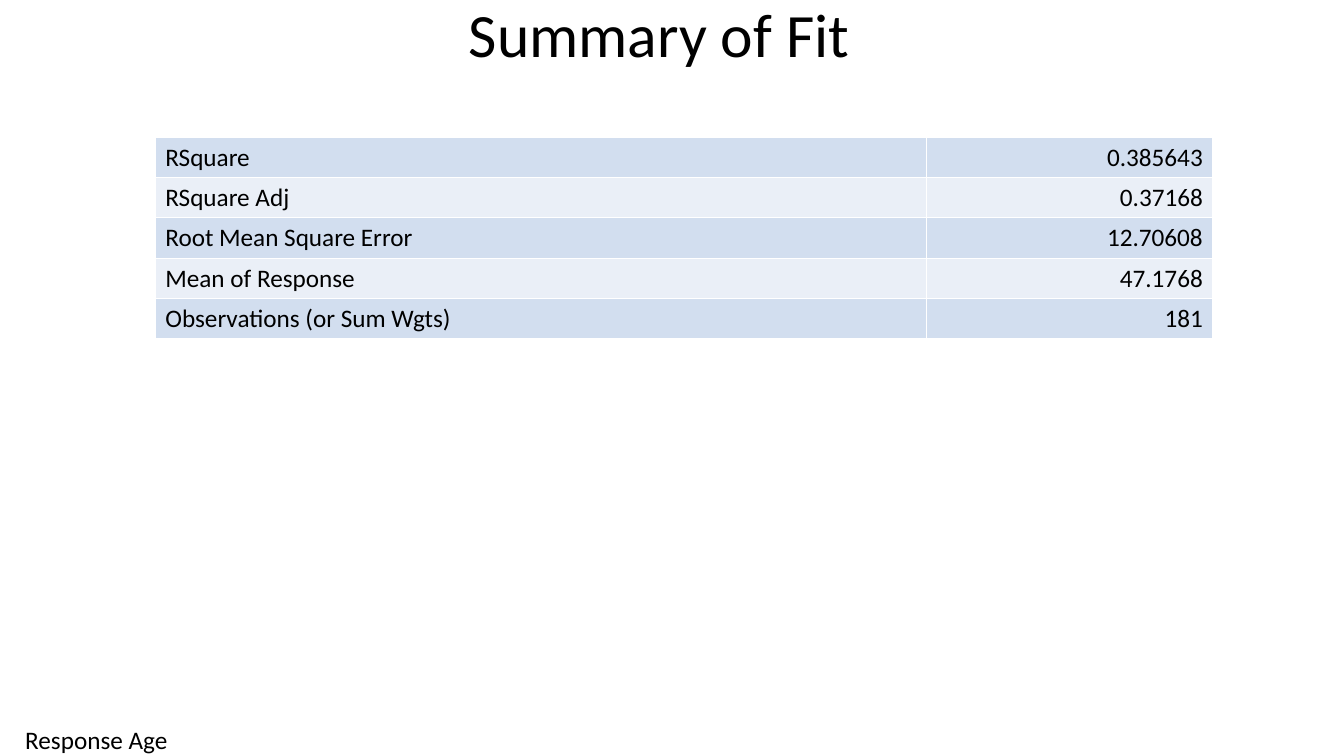
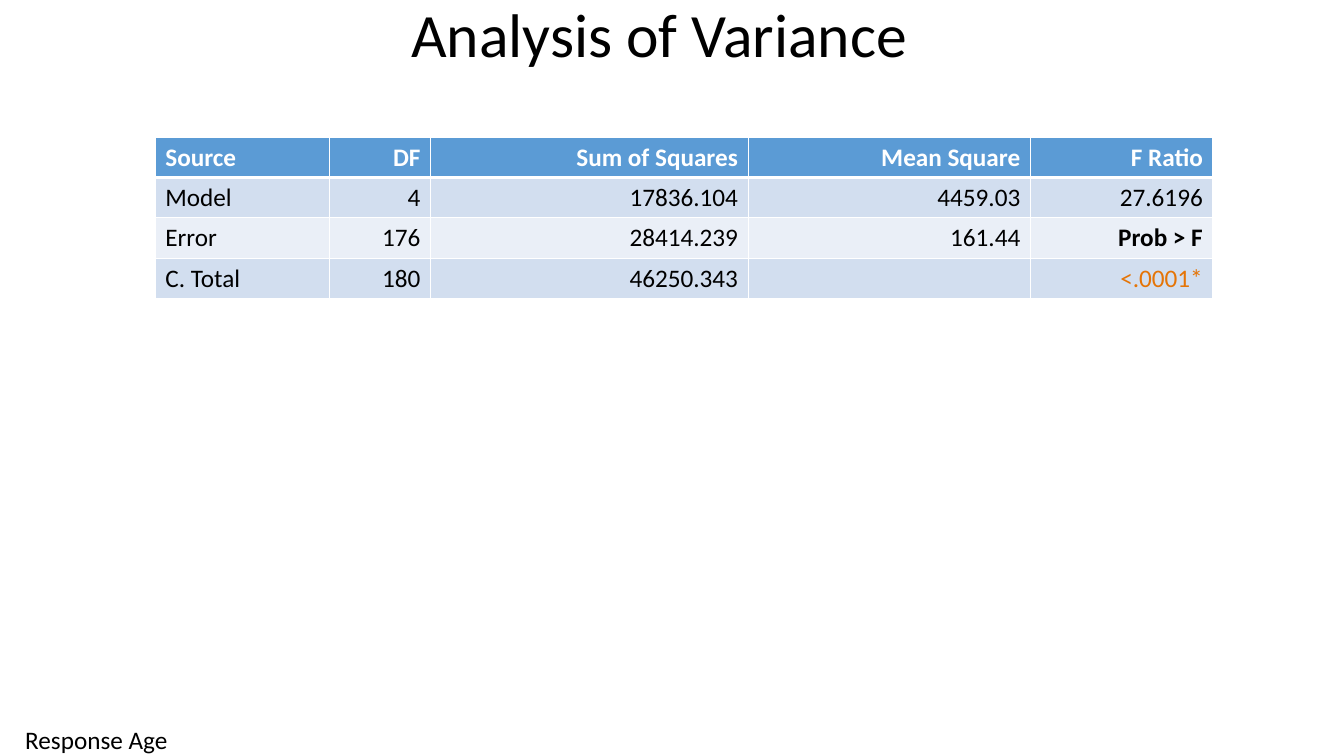
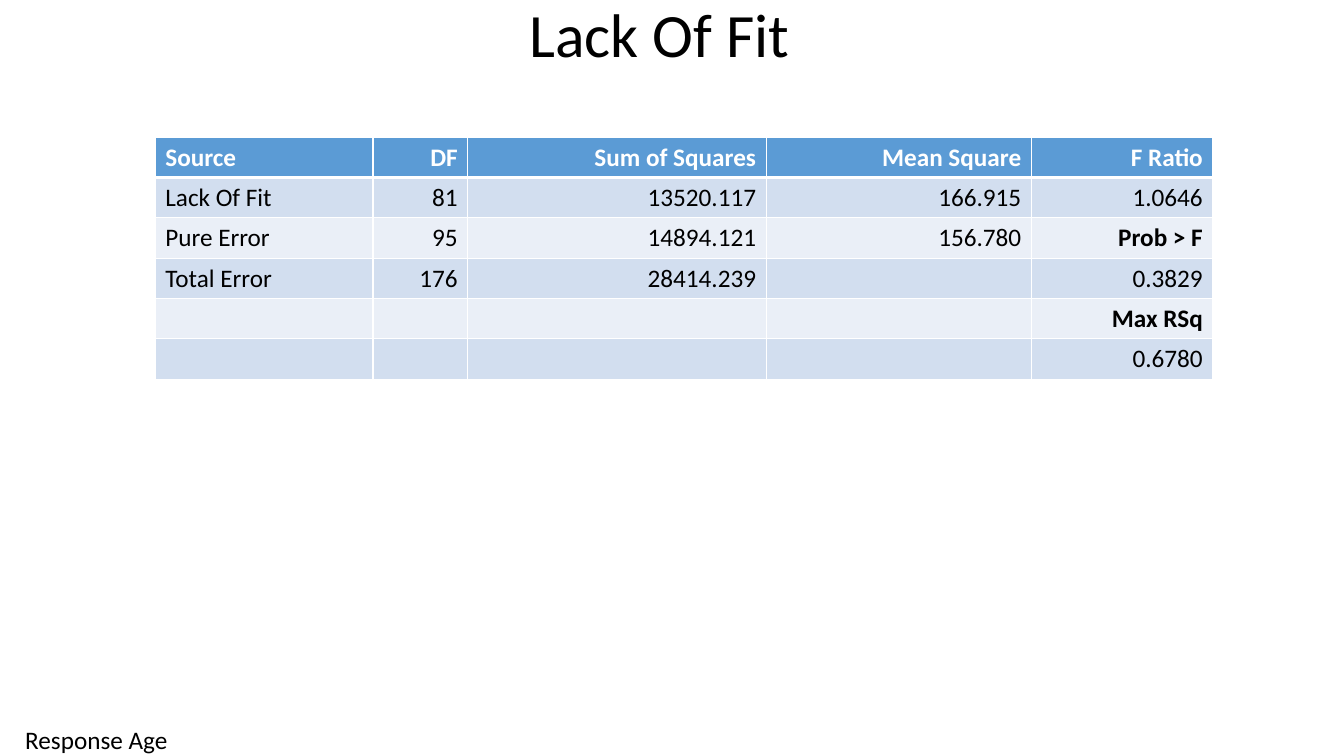
from lxml.etree import SubElement
from pptx import Presentation
from pptx.dml.color import RGBColor
from pptx.enum.text import MSO_ANCHOR as Anchor, MSO_AUTO_SIZE as AutoSize, PP_ALIGN as Align
from pptx.oxml.ns import qn
from pptx.util import Inches, Pt

# Shared style
FONT = "Calibri"
BLACK = RGBColor(0x00, 0x00, 0x00)
WHITE = RGBColor(0xFF, 0xFF, 0xFF)
HEADER_BLUE = RGBColor(0x5B, 0x9B, 0xD5)
BANDS = (RGBColor(0xD2, 0xDE, 0xEF), RGBColor(0xEA, 0xEF, 0xF7))
SIGNIFICANT = RGBColor(0xE5, 0x74, 0x06)

TITLE_FONT = {"name": FONT, "size": Pt(44), "bold": False}
BODY_FONT = {"name": FONT, "size": Pt(18), "bold": False}
HEADER_FONT = {**BODY_FONT, "bold": True}
TITLE_FRAME = {"word_wrap": True, "auto_size": AutoSize.NONE, "vertical_anchor": Anchor.MIDDLE}
FOOTER_FRAME = {"word_wrap": False, "auto_size": AutoSize.SHAPE_TO_FIT_TEXT,
                "margin_left": 0, "margin_top": 0, "margin_right": 0, "margin_bottom": 0}
SUBHEADINGS = {"Prob > F", "Max RSq"}

FOOTER = "Response Age"
TABLE_LEFT, TABLE_TOP, ROW_HEIGHT = 1.54, 1.36, 0.4
THIN, THICK = Pt(1), Pt(3)


def apply(target, values):
    for attribute, value in values.items():
        setattr(target, attribute, value)


class Report:
    """Keeps the presentation, its style and the current slide."""

    def __init__(self):
        self.deck = Presentation()
        apply(self.deck, {"slide_width": Inches(13.33), "slide_height": Inches(7.5)})
        self.slide = None

    def add_slide(self, title):
        self.slide = self.deck.slides.add_slide(self.deck.slide_layouts[5])
        self.add_footer()
        heading = self.slide.shapes.title
        apply(heading, {"left": 0, "top": 0, "width": Inches(13.08), "height": Inches(0.75)})
        apply(heading.text_frame, TITLE_FRAME)
        self.set_text(heading.text_frame, title, TITLE_FONT, align=Align.CENTER, spacing=0.9)

    def add_footer(self):
        footer = self.slide.shapes.add_textbox(
            Inches(0.25), Inches(7.19), Inches(1.42), Inches(0.31))
        apply(footer.text_frame, FOOTER_FRAME)
        self.set_text(footer.text_frame, FOOTER, BODY_FONT)

    def set_text(self, frame, text, font, color=BLACK, align=Align.LEFT, spacing=None):
        paragraph = frame.paragraphs[0]
        apply(paragraph, {"alignment": align, "line_spacing": spacing})
        if text:
            run = paragraph.add_run()
            run.text = text
            apply(run.font, font)
            run.font.color.rgb = color

    def add_table(self, widths, rows, has_header=True):
        table = self.slide.shapes.add_table(
            len(rows), len(widths), Inches(TABLE_LEFT), Inches(TABLE_TOP),
            Inches(sum(widths)), Inches(ROW_HEIGHT * len(rows))).table
        apply(table, {"first_row": has_header, "horz_banding": False})
        for column, width in zip(table.columns, widths):
            column.width = Inches(width)

        header_rows = int(has_header)
        for r, row in enumerate(rows):
            is_header = r < header_rows
            fill = HEADER_BLUE if is_header else BANDS[(r - header_rows) % 2]
            top = THICK if has_header and r == 1 else THIN
            bottom = THICK if is_header else THIN
            for c, text in enumerate(row):
                cell = table.cell(r, c)
                self.add_borders(cell, top, bottom)
                cell.fill.solid()
                cell.fill.fore_color.rgb = fill
                strong = is_header or text in SUBHEADINGS
                color = WHITE if is_header else SIGNIFICANT if text.endswith("*") else BLACK
                self.set_text(cell.text_frame, text, HEADER_FONT if strong else BODY_FONT,
                              color, Align.RIGHT if c else Align.LEFT)

    def add_borders(self, cell, top, bottom):
        properties = cell._tc.get_or_add_tcPr()
        for side, width in {"L": THIN, "R": THIN, "T": top, "B": bottom}.items():
            line = SubElement(properties, qn(f"a:ln{side}"), w=str(width))
            SubElement(SubElement(line, qn("a:solidFill")), qn("a:srgbClr"), val=str(WHITE))


report = Report()
VARIANCE_HEADER = ("Source", "DF", "Sum of Squares", "Mean Square", "F Ratio")

# Summary of fit
report.add_slide("Summary of Fit")
report.add_table((7.65, 2.84), (
    ("RSquare", "0.385643"),
    ("RSquare Adj", "0.37168"),
    ("Root Mean Square Error", "12.70608"),
    ("Mean of Response", "47.1768"),
    ("Observations (or Sum Wgts)", "181"),
), has_header=False)

# Analysis of variance
report.add_slide("Analysis of Variance")
report.add_table((1.73, 1, 3.15, 2.8, 1.81), (
    VARIANCE_HEADER,
    ("Model", "4", "17836.104", "4459.03", "27.6196"),
    ("Error", "176", "28414.239", "161.44", "Prob > F"),
    ("C. Total", "180", "46250.343", "", "<.0001*"),
))

# Lack of fit
report.add_slide("Lack Of Fit")
report.add_table((2.16, 0.94, 2.96, 2.63, 1.8), (
    VARIANCE_HEADER,
    ("Lack Of Fit", "81", "13520.117", "166.915", "1.0646"),
    ("Pure Error", "95", "14894.121", "156.780", "Prob > F"),
    ("Total Error", "176", "28414.239", "", "0.3829"),
    ("", "", "", "", "Max RSq"),
    ("", "", "", "", "0.6780"),
))

report.deck.save("out.pptx")
